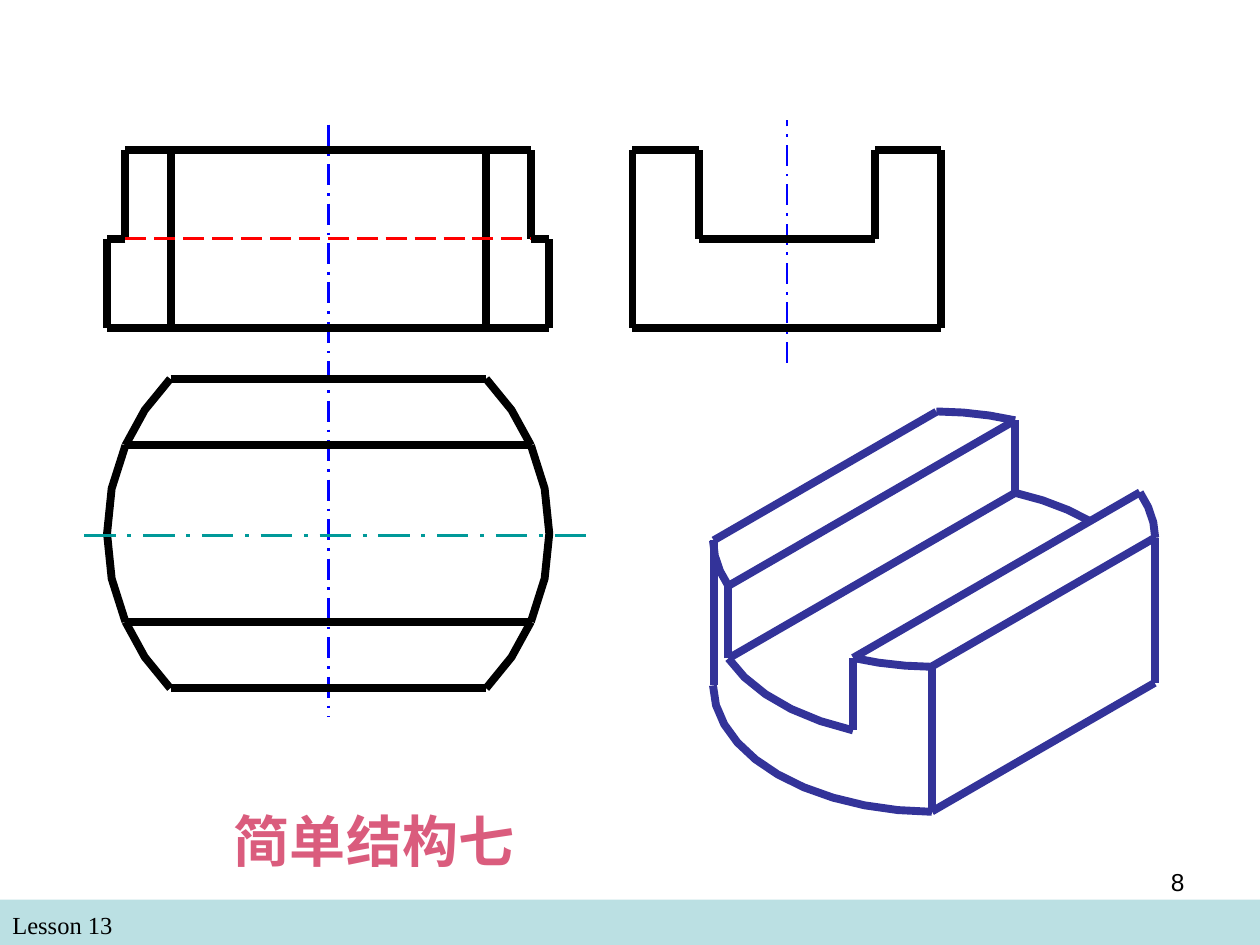
from dataclasses import dataclass
from math import asin, atan2, cos, pi, radians, sin, sqrt

from lxml import etree
from pptx import Presentation
from pptx.dml.color import RGBColor
from pptx.enum.dml import MSO_LINE
from pptx.enum.shapes import MSO_CONNECTOR, MSO_SHAPE
from pptx.enum.text import PP_ALIGN
from pptx.oxml.ns import qn
from pptx.util import Inches, Pt

STRAIGHT = MSO_CONNECTOR.STRAIGHT
RECTANGLE = MSO_SHAPE.RECTANGLE
LEFT, CENTER, RIGHT = PP_ALIGN.LEFT, PP_ALIGN.CENTER, PP_ALIGN.RIGHT
LONG_DASH, LONG_DASH_DOT = MSO_LINE.LONG_DASH, MSO_LINE.LONG_DASH_DOT

# The slide is a grid of 100 columns by 75 rows of square cells.
COLUMNS, ROWS = 100, 75
CELL = Inches(0.1)


@dataclass(frozen=True)
class Pen:
    color: str
    width: float
    dash: object = None


@dataclass(frozen=True)
class Theme:
    serif: str = "Times New Roman"
    sans: str = "Arial"
    small: int = 14
    large: int = 32
    text: str = "000000"
    title: str = "DA5C7D"
    band: str = "BBE0E3"
    outline: Pen = Pen("000000", 4.5)
    solid: Pen = Pen("333399", 4.5)
    hidden: Pen = Pen("FF0000", 1.5, LONG_DASH)
    axis: Pen = Pen("0000FF", 1.5, LONG_DASH_DOT)
    cross_axis: Pen = Pen("009999", 2.25, LONG_DASH_DOT)


THEME = Theme()

# The part: a disc with two flats and a slot, measured in cells.
RADIUS = 17.55
FLAT, SLOT = 12.25, 7
FLAT_END, SLOT_END = 12.5, sqrt(RADIUS ** 2 - SLOT ** 2)
FLAT_ANGLE, SLOT_ANGLE = atan2(FLAT, FLAT_END), asin(SLOT / RADIUS)
BOTTOM, FLOOR, TOP = 0, 7.05, 14.1

# Where the views stand on the grid.
FRONT_X, SIDE_X, BASE_Y, PLAN_Y = 26.05, 62.45, 26, 42.35
SOLID_X, SOLID_Y = 74.14, 54.3


def front(x, y, z):
    return FRONT_X + x, BASE_Y - z


def side(x, y, z):
    return SIDE_X + y, BASE_Y - z


def plan(x, y, z):
    return FRONT_X + x, PLAN_Y + y


def isometric(x, y, z):
    shrink = sqrt(2 / 3)
    across, down = shrink * cos(radians(30)), shrink * sin(radians(30))
    return SOLID_X + across * (x + y), SOLID_Y + down * (y - x) - shrink * z


def arc(start, end, segments, z=BOTTOM):
    """Points on the disc's rim at height z, at equal angles."""
    angles = [start + (end - start) * step / segments for step in range(segments + 1)]
    return [(RADIUS * cos(angle), RADIUS * sin(angle), z) for angle in angles]


def along(half_length, y, z):
    return [(-half_length, y, z), (half_length, y, z)]


def upright(x, y, low, high):
    return [(x, y, low), (x, y, high)]


def cells(*values):
    return [round(value * CELL) for value in values]


def draw_path(shapes, points, pen):
    """A connector for two points, an open outline for more."""
    points = [cells(*point) for point in points]
    if len(points) == 2:
        path = shapes.add_connector(STRAIGHT, *points[0], *points[1])
    else:
        builder = shapes.build_freeform(*points[0])
        builder.add_line_segments(points[1:], close=False)
        path = builder.convert_to_shape()
        path.fill.background()
    path.line.color.rgb = RGBColor.from_string(pen.color)
    path.line.width = Pt(pen.width)
    if pen.dash is not None:
        path.line.dash_style = pen.dash
    etree.SubElement(path._element.spPr, qn("a:effectLst"))


def draw_view(shapes, project, edges, pen):
    for edge in edges:
        draw_path(shapes, [project(*point) for point in edge], pen)


def add_text(slide, text, box, size=THEME.small, font=THEME.serif,
             color=THEME.text, bold=False, align=LEFT):
    frame = slide.shapes.add_textbox(*cells(*box)).text_frame
    frame.word_wrap = True
    paragraph = frame.paragraphs[0]
    paragraph.text = text
    paragraph.alignment = align
    paragraph.font.size = Pt(size)
    paragraph.font.name = font
    paragraph.font.bold = bold
    paragraph.font.color.rgb = RGBColor.from_string(color)


def add_band(slide, top):
    band = slide.shapes.add_shape(RECTANGLE, *cells(0, top, COLUMNS, ROWS - top))
    band.shadow.inherit = False
    band.fill.solid()
    band.fill.fore_color.rgb = RGBColor.from_string(THEME.band)
    band.line.fill.background()


def draw_solid(slide):
    edges = [
        along(FLAT_END, FLAT, BOTTOM),
        along(FLAT_END, FLAT, TOP),
        along(FLAT_END, -FLAT, TOP),
        along(SLOT_END, SLOT, TOP),
        along(SLOT_END, -SLOT, TOP),
        along(SLOT_END, -SLOT, FLOOR),
        upright(FLAT_END, FLAT, BOTTOM, TOP),
        upright(-FLAT_END, FLAT, BOTTOM, TOP),
        upright(-FLAT_END, -FLAT, BOTTOM, TOP),
        upright(-SLOT_END, SLOT, FLOOR, TOP),
        upright(-SLOT_END, -SLOT, FLOOR, TOP),
        upright(SLOT_END, -SLOT, FLOOR, TOP),
        arc(FLAT_ANGLE, SLOT_ANGLE, 3, TOP),
        arc(-SLOT_ANGLE, -FLAT_ANGLE, 3, TOP),
        arc(pi - SLOT_ANGLE, pi - FLAT_ANGLE, 3, TOP),
        arc(pi + FLAT_ANGLE, pi + SLOT_ANGLE, 3, TOP),
        arc(0, -SLOT_ANGLE, 3, FLOOR),
        arc(pi + SLOT_ANGLE, pi - SLOT_ANGLE, 5, FLOOR),
        arc(pi + FLAT_ANGLE, pi - FLAT_ANGLE, 10, BOTTOM),
    ]
    draw_view(slide.shapes.add_group_shape().shapes, isometric, edges, THEME.solid)


def draw_three_views(slide):
    shapes = slide.shapes.add_group_shape().shapes
    draw_path(shapes, [(FRONT_X, 9.9), (FRONT_X, 56.9)], THEME.axis)
    draw_path(shapes, [(SIDE_X, 28.8), (SIDE_X, 9.5)], THEME.axis)

    front_edges = [along(RADIUS, 0, BOTTOM), along(SLOT_END, 0, TOP)]
    side_edges = [[(0, -FLAT, BOTTOM), (0, FLAT, BOTTOM)],
                  [(0, -SLOT, FLOOR), (0, SLOT, FLOOR)]]
    plan_edges = []
    for sign in (-1, 1):
        front_edges += [
            upright(sign * FLAT_END, 0, BOTTOM, TOP),
            upright(sign * SLOT_END, 0, FLOOR, TOP),
            upright(sign * RADIUS, 0, BOTTOM, FLOOR),
            [(sign * SLOT_END, 0, FLOOR), (sign * RADIUS, 0, FLOOR)],
        ]
        side_edges += [
            upright(0, sign * FLAT, BOTTOM, TOP),
            upright(0, sign * SLOT, FLOOR, TOP),
            [(0, sign * SLOT, TOP), (0, sign * FLAT, TOP)],
        ]
        middle = 0 if sign > 0 else pi
        plan_edges += [
            along(FLAT_END, sign * FLAT, TOP),
            along(SLOT_END, sign * SLOT, TOP),
            arc(middle - SLOT_ANGLE, middle + SLOT_ANGLE, 4),
            arc(middle + SLOT_ANGLE, middle + FLAT_ANGLE, 2),
            arc(middle - FLAT_ANGLE, middle - SLOT_ANGLE, 2),
        ]
    for project, edges in ((front, front_edges), (side, side_edges), (plan, plan_edges)):
        draw_view(shapes, project, edges, THEME.outline)
    draw_view(shapes, front, [along(SLOT_END, 0, FLOOR)], THEME.hidden)
    draw_path(shapes, [(6.7, 42.5), (46.7, 42.5)], THEME.cross_axis)


def main():
    presentation = Presentation()
    presentation.slide_width, presentation.slide_height = cells(COLUMNS, ROWS)
    slide = presentation.slides.add_slide(presentation.slide_layouts[6])
    add_band(slide, 71.4)
    add_text(slide, "Lesson 13", (0, 71.7, 48.3, 3.4))
    draw_solid(slide)
    add_text(slide, "简单结构七", (6.7, 63.5, 46, 6.4), size=THEME.large,
             color=THEME.title, bold=True, align=CENTER)
    draw_three_views(slide)
    add_text(slide, "8", (71.7, 68.3, 23.3, 5.2), font=THEME.sans, align=RIGHT)
    presentation.save("out.pptx")


if __name__ == "__main__":
    main()
